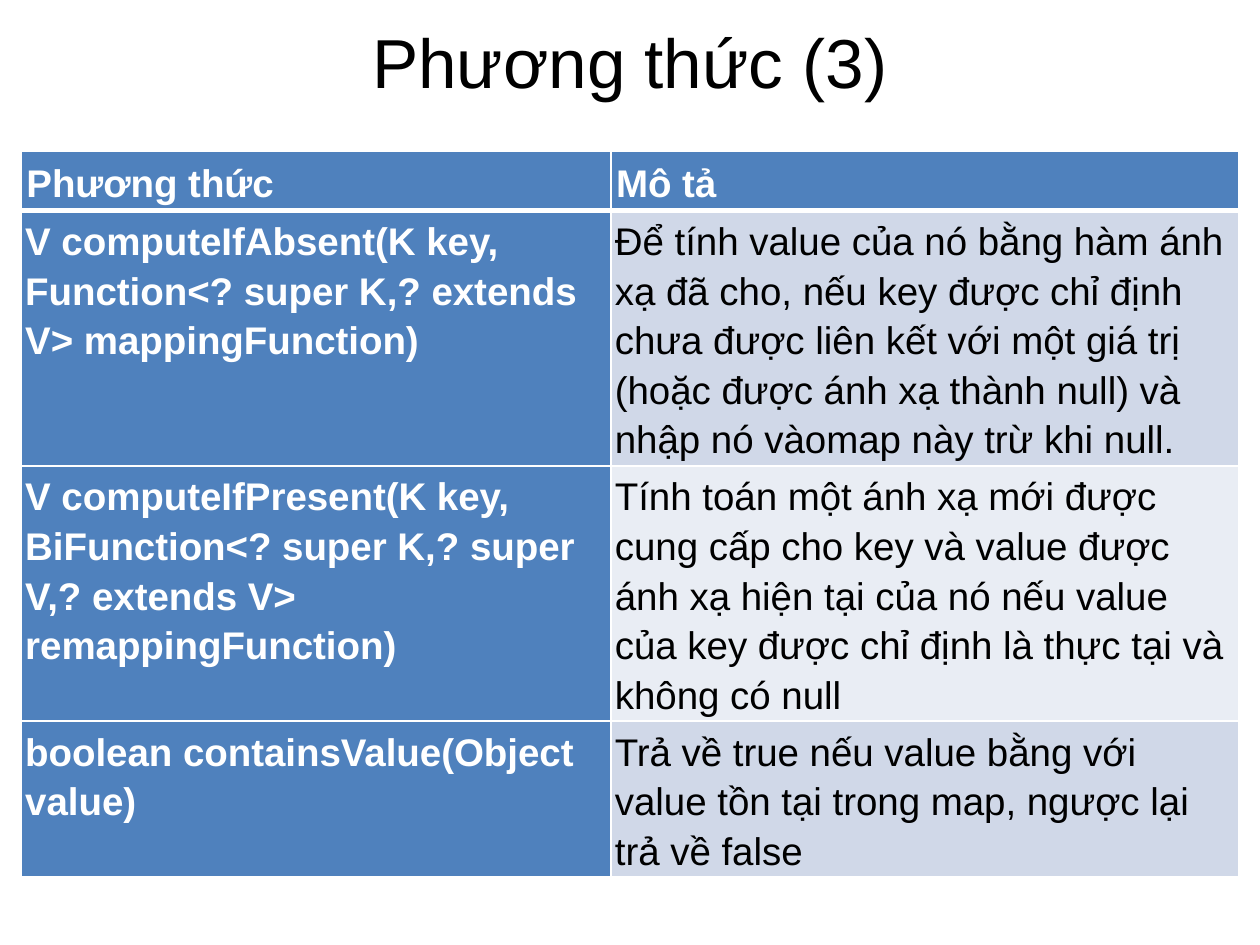
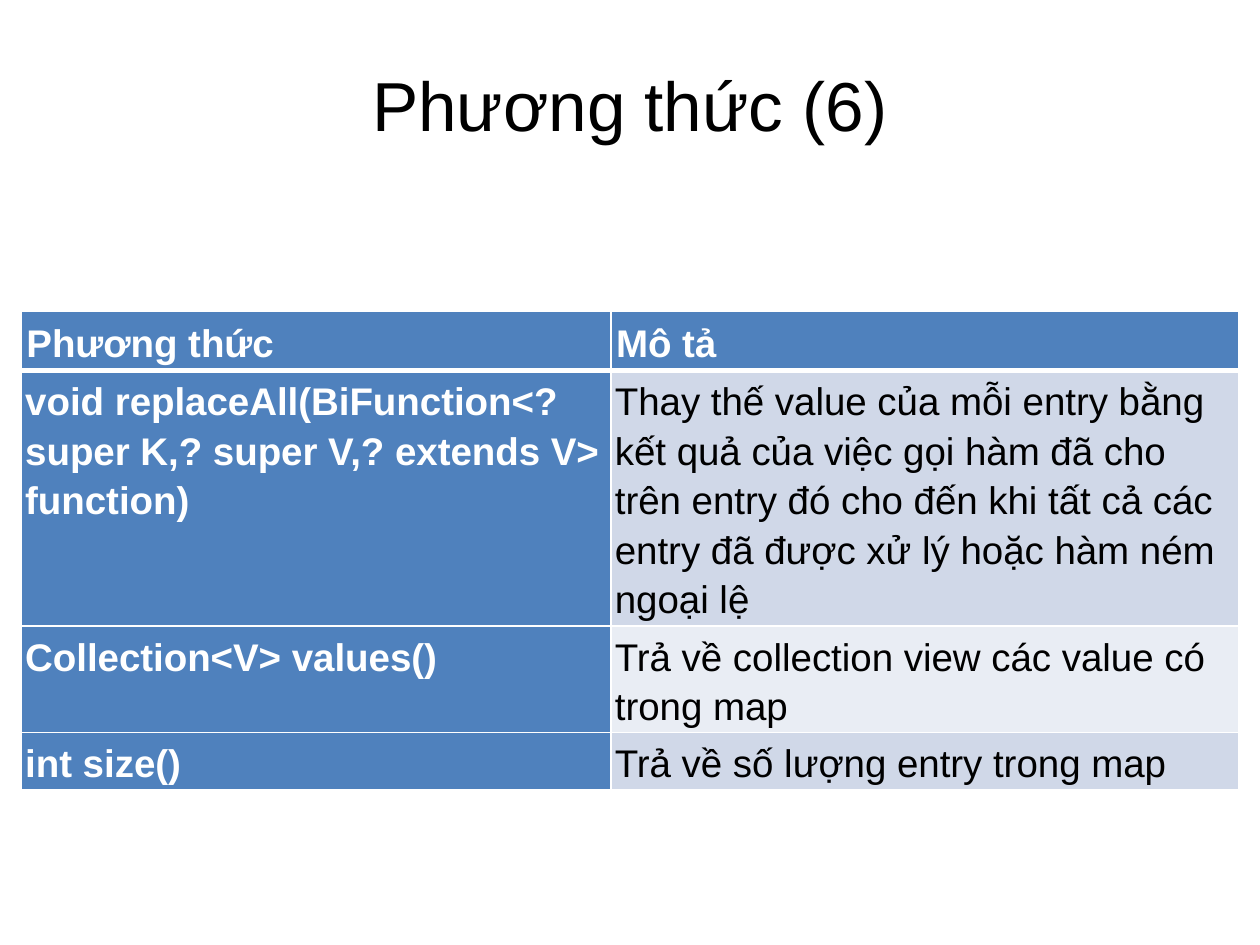
from lxml.etree import SubElement
from pptx import Presentation
from pptx.dml.color import RGBColor
from pptx.enum.text import MSO_ANCHOR, MSO_AUTO_SIZE, PP_ALIGN
from pptx.oxml.ns import qn
from pptx.util import Inches, Pt

FONT = "Arial"
BLACK, WHITE, BLUE = "000000", "FFFFFF", "4F81BD"
BANDS = ["D0D8E8", "E9EDF4"]
HEADINGS = ("Phương thức", "Mô tả")
COLUMN_WIDTHS = (4.68, 4.98)
TABLE_LEFT = 0.17
LINE_HEIGHT = 0.39
ROW_PADDING = 0.06

SLIDES = [
    {
        "title": "Phương thức (3)",
        "title_box": (0.5, 0.13, 9, 0.7),
        "table_top": 1.2,
        "methods": [
            ("V computeIfAbsent(K key, Function<? super K,? extends V> mappingFunction)",
             "Để tính value của nó bằng hàm ánh xạ đã cho, nếu key được chỉ định chưa "
             "được liên kết với một giá trị (hoặc được ánh xạ thành null) và nhập nó "
             "vàomap này trừ khi null.", 5),
            ("V computeIfPresent(K key, BiFunction<? super K,? super V,? extends V> "
             "remappingFunction)",
             "Tính toán một ánh xạ mới được cung cấp cho key và value được ánh xạ hiện "
             "tại của nó nếu value của key được chỉ định là thực tại và không có null", 5),
            ("boolean containsValue(Object value)",
             "Trả về true nếu value bằng với value tồn tại trong map, ngược lại trả về "
             "false", 3),
        ],
    },
    {
        "title": "Phương thức (6)",
        "title_box": (0.5, 0.47, 9, 0.7),
        "table_top": 2.47,
        "methods": [
            ("void replaceAll(BiFunction<? super K,? super V,? extends V> function)",
             "Thay thế value của mỗi entry bằng kết quả của việc gọi hàm đã cho trên "
             "entry đó cho đến khi tất cả các entry đã được xử lý hoặc hàm ném ngoại lệ", 5),
            ("Collection<V> values()",
             "Trả về collection view các value có trong map", 2),
            ("int size()", "Trả về số lượng entry trong map", 1),
        ],
    },
]


def color(hex_string):
    """Turn a hex string into a colour."""
    return RGBColor.from_string(hex_string)


def apply_format(target, values):
    """Set every attribute in a dict of format values."""
    for name, value in values.items():
        setattr(target, name, value)


def write_text(text_frame, text, size, text_color, bold=False, **paragraph_format):
    """Write one formatted paragraph into a text frame."""
    paragraph = text_frame.paragraphs[0]
    apply_format(paragraph, paragraph_format)
    run = paragraph.add_run()
    run.text = text
    apply_format(run.font, {"name": FONT, "size": Pt(size), "bold": bold})
    run.font.color.rgb = color(text_color)


def add_borders(cell, widths):
    """Draw white borders on a cell, with widths in points by side."""
    properties = cell._tc.get_or_add_tcPr()
    for side, width in widths.items():
        line = SubElement(properties, qn(f"a:ln{side}"), w=str(Pt(width)))
        fill = SubElement(line, qn("a:solidFill"))
        SubElement(fill, qn("a:srgbClr"), val=WHITE)


def fill_cell(cell, text, row_index, column_index):
    """Format a table cell by its place in the table."""
    is_header = row_index == 0
    is_key = is_header or column_index == 0
    inset = Inches(0.04 if is_header else 0.03)
    apply_format(cell, {f"margin_{side}": inset
                        for side in ("left", "right", "top", "bottom")})
    add_borders(cell, {"L": 1, "R": 1, "T": 3 if row_index == 1 else 1,
                       "B": 3 if is_header else 1})
    cell.fill.solid()
    cell.fill.fore_color.rgb = color(BLUE if is_key else BANDS[(row_index - 1) % 2])
    write_text(cell.text_frame, text, 22, WHITE if is_key else BLACK, is_key,
               line_spacing=1.15)


def add_title(slide, text, box):
    """Place the slide title in the given box."""
    title = slide.shapes.title
    apply_format(title, dict(zip(("left", "top", "width", "height"), map(Inches, box))))
    apply_format(title.text_frame, {
        "auto_size": MSO_AUTO_SIZE.NONE, "word_wrap": True,
        "vertical_anchor": MSO_ANCHOR.MIDDLE,
    })
    write_text(title.text_frame, text, 39.6, BLACK, alignment=PP_ALIGN.CENTER)


def add_method_table(slide, left, top, methods):
    """Build the table of methods and their descriptions."""
    rows = [(*HEADINGS, 1), *methods]
    heights = [ROW_PADDING + LINE_HEIGHT * lines for *_, lines in rows]
    table = slide.shapes.add_table(
        len(rows), len(COLUMN_WIDTHS), Inches(left), Inches(top),
        Inches(sum(COLUMN_WIDTHS)), Inches(sum(heights))).table
    for column, width in zip(table.columns, COLUMN_WIDTHS):
        column.width = Inches(width)
    for row_index, (*texts, _) in enumerate(rows):
        table.rows[row_index].height = Inches(heights[row_index])
        for column_index, text in enumerate(texts):
            fill_cell(table.cell(row_index, column_index), text, row_index, column_index)


def add_method_slide(presentation, content):
    """Add a slide with a title and a table of methods."""
    slide = presentation.slides.add_slide(presentation.slide_layouts[5])
    add_title(slide, content["title"], content["title_box"])
    add_method_table(slide, TABLE_LEFT, content["table_top"], content["methods"])


def main():
    """Build and save the presentation."""
    presentation = Presentation()
    apply_format(presentation, {"slide_width": Inches(10), "slide_height": Inches(7.5)})
    for content in SLIDES:
        add_method_slide(presentation, content)
    presentation.save("out.pptx")


if __name__ == "__main__":
    main()
